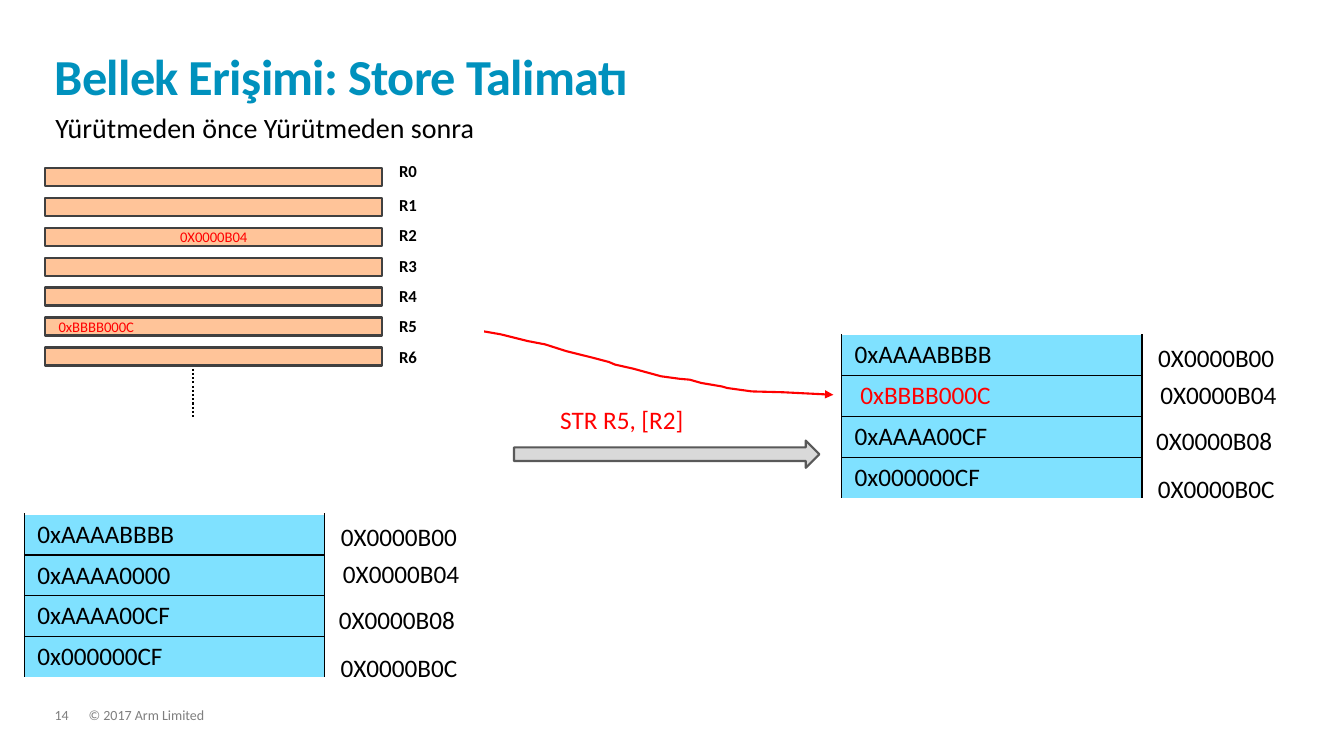
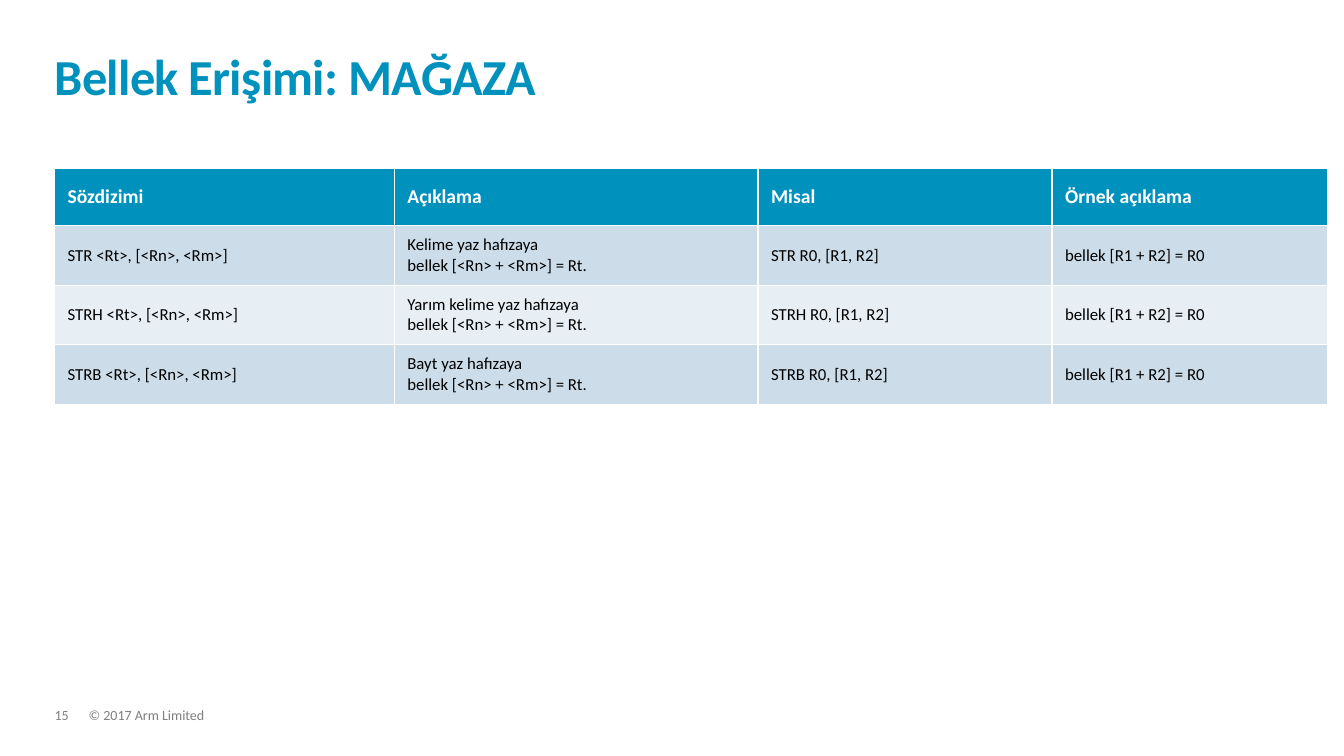
from dataclasses import dataclass
from itertools import accumulate, repeat

from lxml import etree
from pptx import Presentation
from pptx import util as u
from pptx.dml.color import RGBColor
from pptx.enum import dml, shapes, text
from pptx.oxml.ns import qn


@dataclass(frozen=True)
class Theme:
    font: str = "Calibri"
    accent: str = "0091BD"
    ink: str = "000000"
    grey: str = "7F7F7F"
    white: str = "FFFFFF"
    red: str = "FF0000"
    register: str = "FFC499"
    register_line: str = "404040"
    memory: str = "7FE1FF"
    arrow: str = "D9D9D9"
    arrow_line: str = "595959"
    band_dark: str = "CCDCE8"
    band_light: str = "E7EEF4"
    title: float = 36
    subtitle: float = 20
    body: float = 18
    header: float = 14
    cell: float = 12
    value: float = 10.5
    footer: float = 10
    line: float = 1.5


T = Theme()
RGB = RGBColor.from_string
PP, ANCHOR = text.PP_ALIGN, text.MSO_ANCHOR

prs = Presentation()
prs.slide_width, prs.slide_height = u.Inches(13.333), u.Inches(7.5)
G = prs.slide_height // 90  # square grid: 160 columns by 90 rows


def write(tf, words, size, color, bold=False, align=PP.LEFT, spacing=None):
    """Fill a text frame and format every run."""
    tf.text = words
    for p in tf.paragraphs:
        p.alignment, p.line_spacing = align, spacing
        for r in p.runs:
            r.font.name, r.font.size, r.font.bold = T.font, u.Pt(size), bold
            r.font.color.rgb = RGB(color)
    return tf


def add_table(s, x, y, cols, rows, data, style, header=False, ruled=False):
    """Add a table; style(i, words) gives fill, size, colour, bold, anchor."""
    box = [int(v * G) for v in (x, y, sum(cols), sum(rows))]
    tbl = s.shapes.add_table(len(rows), len(cols), *box).table
    tbl.first_row, tbl.horz_banding = header, False
    for col, w in zip(tbl.columns, cols):
        col.width = int(w * G)
    for i, (row, h) in enumerate(zip(tbl.rows, rows)):
        row.height = int(h * G)
        for cell, words in zip(row.cells, data[i]):
            fill, size, color, bold, anchor = style(i, words)
            write(cell.text_frame, words, size, color, bold)
            cell.vertical_anchor = anchor
            cell.margin_left = cell.margin_right = int(1.55 * G)
            # Black sides and inner rules, open at the top and bottom
            sides = ["L", "R"] + ["T"] * (i > 0) + ["B"] * (i < len(rows) - 1)
            for side in sides if ruled else []:
                tcPr = cell._tc.get_or_add_tcPr()
                ln = etree.SubElement(tcPr, qn("a:ln" + side), w=str(u.Pt(1)))
                solid = etree.SubElement(ln, qn("a:solidFill"))
                etree.SubElement(solid, qn("a:srgbClr"), val=T.ink)
            cell.fill.solid()
            cell.fill.fore_color.rgb = RGB(fill)


# Title and footer shared by both slides
slides = []
for number, title in ((14, "Bellek Erişimi: Store Talimatı"),
                      (15, "Bellek Erişimi: MAĞAZA")):
    s = prs.slides.add_slide(prs.slide_layouts[6])
    slides.append(s)
    for x, y, w, h, words, size, color, bold, spacing in (
            (10.55, 84.35, 109.55, 1.8, "© 2017 Arm Limited", T.footer, T.grey, False, 0.9),
            (6.5, 84.35, 4.05, 1.8, str(number), T.footer, T.grey, False, 0.9),
            (6.5, 3.85, 146.75, 8.75, title, T.title, T.accent, True, 0.85)):
        tf = s.shapes.add_textbox(*(int(v * G) for v in (x, y, w, h))).text_frame
        tf.word_wrap = True
        tf.margin_left = tf.margin_top = tf.margin_right = tf.margin_bottom = 0
        write(tf, words, size, color, bold, spacing=spacing)
        if bold:
            tf.vertical_anchor = ANCHOR.BOTTOM
            tf.paragraphs[0].runs[0].font._element.set("spc", "-50")

# Slide 14: store instruction, free text and block arrow
s, table_slide = slides
for x, y, w, words, size, color in (
        (5.4, 12.6, 123.7, "Yürütmeden önce Yürütmeden sonra", T.subtitle, T.ink),
        (65.5, 47.5, 27.7, "STR R5, [R2]", T.body, T.red)):
    tf = s.shapes.add_textbox(*(int(v * G) for v in (x, y, w, 4.85))).text_frame
    tf.word_wrap = True
    write(tf, words, size, color)

arrow = s.shapes.add_shape(shapes.MSO_SHAPE.RIGHT_ARROW,
                           *(int(v * G) for v in (61.2, 52.45, 36.35, 3.25)))
arrow.shadow.inherit = False
arrow.fill.solid()
arrow.fill.fore_color.rgb = RGB(T.arrow)
arrow.line.color.rgb, arrow.line.width = RGB(T.arrow_line), u.Pt(T.line)

# Path of the stored word from R5 to memory
path_points = [(47.2, 39), (55.6, 39.1), (59.6, 39.8), (62.8, 40.6), (64.9, 41),
               (67.4, 41.8), (70.6, 42.6), (72.5, 43.1), (73.2, 43.4), (75.4, 43.9),
               (78.7, 44.8), (80.9, 45.1), (82.1, 45.2), (83.5, 45.6), (85.9, 46),
               (86.6, 46.2), (89.5, 46.6), (93.2, 46.7), (99.2, 47)]
start, *rest = [(x * G, y * G) for x, y in path_points]
builder = s.shapes.build_freeform(*start)
builder.add_line_segments(rest, close=False)
sp = builder.convert_to_shape()
sp.shadow.inherit = False
sp.fill.background()
sp.line.color.rgb, sp.line.width = RGB(T.red), u.Pt(T.line)
etree.SubElement(sp.line._get_or_add_ln(), qn("a:tailEnd"), type="triangle")

# Register bars R0 to R6 and the dotted continuation
values = {2: ("0X0000B04", PP.CENTER), 5: (" 0xBBBB000C", PP.LEFT)}
for i in range(7):
    sp = s.shapes.add_shape(shapes.MSO_SHAPE.RECTANGLE,
                            *(int(v * G) for v in (5.4, 19.95 + 3.57 * i, 40.1, 2.15)))
    sp.shadow.inherit = False
    sp.fill.solid()
    sp.fill.fore_color.rgb = RGB(T.register)
    sp.line.color.rgb, sp.line.width = RGB(T.register_line), u.Pt(T.line)
    if i in values:
        words, align = values[i]
        tf = write(sp.text_frame, words, T.value, T.red, align=align)
        tf.word_wrap, tf.vertical_anchor = False, ANCHOR.MIDDLE

dots = s.shapes.add_connector(shapes.MSO_CONNECTOR.STRAIGHT,
                              *(int(v * G) for v in (22.95, 43.9, 22.95, 49.6)))
dots.line.color.rgb, dots.line.width = RGB(T.ink), u.Pt(T.line)
dots.line.dash_style = dml.MSO_LINE.ROUND_DOT
etree.SubElement(dots._element.spPr, qn("a:effectLst"))

# Register names
add_table(s, 45.95, 18.6, [11.65], [4.1] + [3.6] * 6, [[f"R{i}"] for i in range(7)],
          lambda i, words: (T.white, T.cell, T.ink, True, ANCHOR.TOP), header=True)

# Memory before and after, with addresses beside each word
addresses = (("0X0000B00", 36.1, 0.3), ("0X0000B04", 36.35, 4.7),
             ("0X0000B08", 35.85, 10.2), ("0X0000B0C", 36.1, 15.9))
for x, y, second in ((2.9, 61.2, "0xAAAA0000"), (100.2, 39.85, " 0xBBBB000C")):
    words_in_memory = ("0xAAAABBBB", second, "0xAAAA00CF", "0x000000CF")
    add_table(s, x, y, [35.75], [4.87] * 4, [[w] for w in words_in_memory],
              lambda i, words: (T.memory, T.body, T.red if "BBBB000C" in words else T.ink,
                                False, ANCHOR.TOP), ruled=True)
    for address, dx, dy in addresses:
        tf = s.shapes.add_textbox(*(int(v * G) for v in (x + dx, y + dy, 17, 4.85))).text_frame
        tf.word_wrap = False
        write(tf, address, T.body, T.ink, align=PP.CENTER)

# Slide 15: table of store instructions
rows = [["Sözdizimi", "Açıklama", "Misal", "Örnek açıklama"]]
for name, unit in (("STR", "Kelime"), ("STRH", "Yarım kelime"), ("STRB", "Bayt")):
    rows.append([f"{name} <Rt>, [<Rn>, <Rm>]",
                 f"{unit} yaz hafızaya\nbellek [<Rn> + <Rm>] = Rt.",
                 f"{name} R0, [R1, R2]", "bellek [R1 + R2] = R0"])
bands = [T.accent, T.band_dark, T.band_light, T.band_dark]
add_table(table_slide, 6.5, 20, [40.45, 43.3, 35, 32.85], [6.85] + [7.1] * 3, rows,
          lambda i, words: (bands[i], T.cell if i else T.header, T.ink if i else T.white,
                            i == 0, ANCHOR.MIDDLE), header=True)

prs.save("out.pptx")
